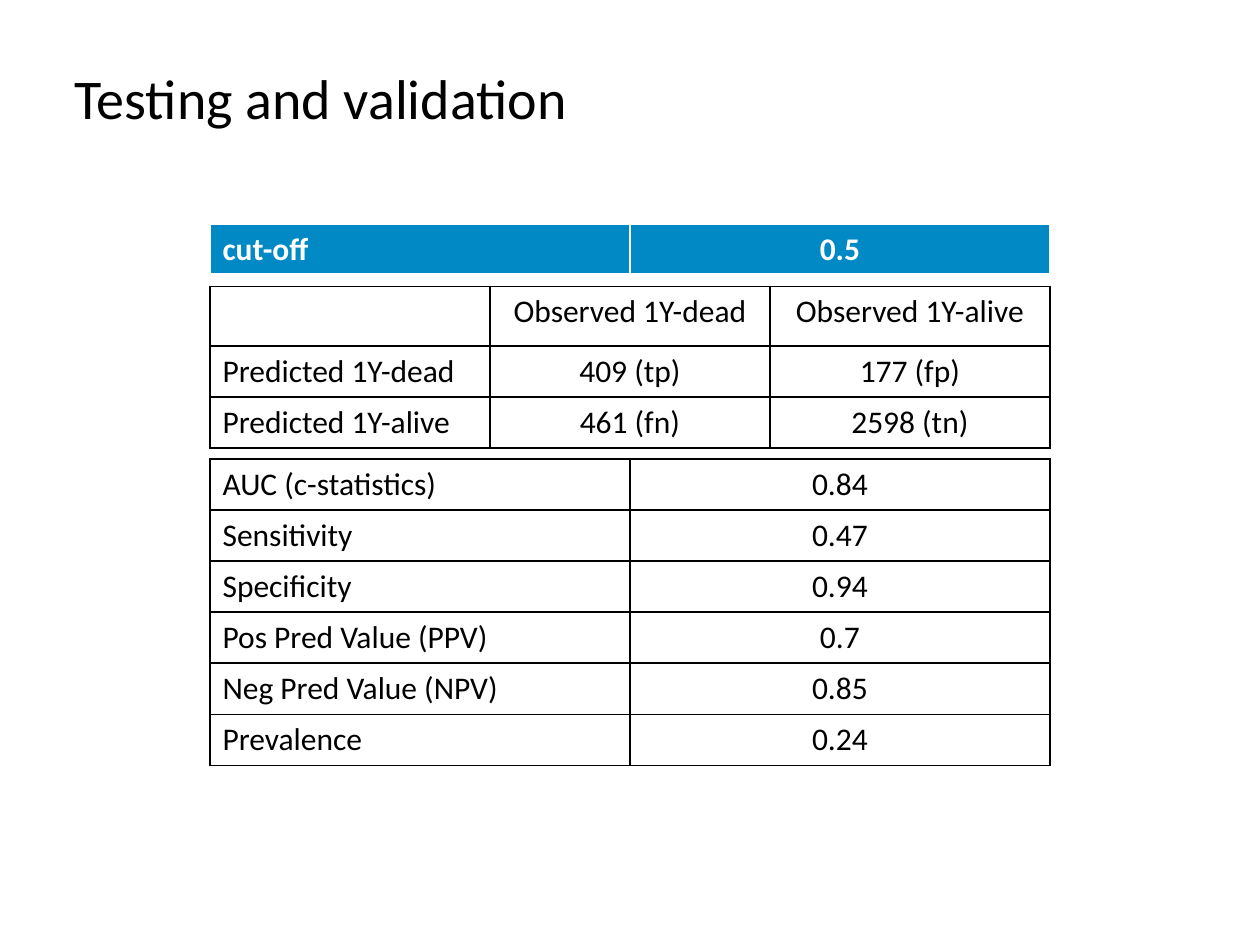
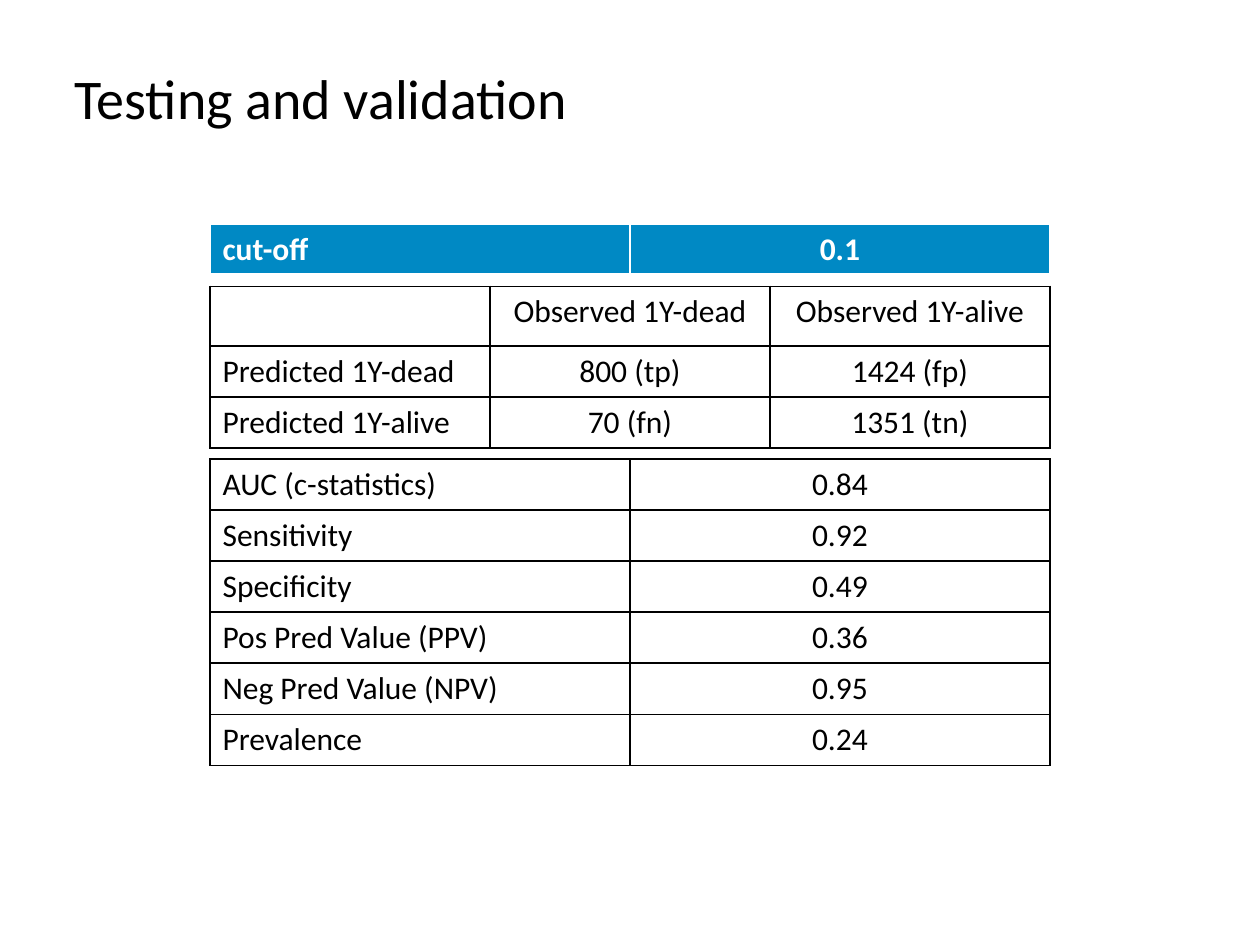
from pptx import Presentation
from pptx.dml.color import RGBColor as Rgb
from pptx.enum.text import MSO_ANCHOR as Anchor, MSO_AUTO_SIZE as Fit, PP_ALIGN as Align
from pptx.oxml.ns import qn
from pptx.util import Pt
from lxml.etree import SubElement

COLORS = {"ink": "000000", "paper": "FFFFFF", "head": "0089C4"}
LEFT, TOP, WIDTH = 120, 128.2, 480
ROW, TALL, GAP = 29.2, 34, 6.2
RATES = ["AUC (c-statistics)", "Sensitivity", "Specificity",
         "Pos Pred Value (PPV)", "Neg Pred Value (NPV)", "Prevalence"]
# cut-off, counts (tp, fp, fn, tn), rates
TESTS = [
    ("0.5", (409, 177, 461, 2598), ["0.84", "0.47", "0.94", "0.7", "0.85", "0.24"]),
    ("0.1", (800, 1424, 70, 1351), ["0.84", "0.92", "0.49", "0.36", "0.95", "0.24"]),
]


class Deck:
    font = "Calibri"

    def __init__(self):
        self.prs = Presentation()
        self.prs.slide_width, self.prs.slide_height = Pt(720), Pt(540)
        self.slide = None

    def add_slide(self, title):
        self.slide = self.prs.slides.add_slide(self.prs.slide_layouts[5])
        box = self.slide.shapes.title
        box.left, box.top, box.width, box.height = Pt(42.5), Pt(36), Pt(635), Pt(79)
        frame = box.text_frame
        frame.text = title
        frame.margin_left = frame.margin_right = 0
        frame.margin_top = frame.margin_bottom = 0
        frame.vertical_anchor = Anchor.TOP
        frame.auto_size = Fit.NONE
        self.style(frame.paragraphs[0], 32, "ink", Align.LEFT)

    def style(self, para, size, color, align, bold=False):
        para.alignment = align
        for run in para.runs:
            font = run.font
            font.name, font.size, font.bold = self.font, Pt(size), bold
            font.color.rgb = Rgb.from_string(COLORS[color])

    def border(self, cell, color, base):
        """Line all four sides; base is the width of the bottom one."""
        props = cell._tc.get_or_add_tcPr()
        for side, width in (("L", 1), ("R", 1), ("T", 1), ("B", base)):
            line = SubElement(props, qn(f"a:ln{side}"), w=str(Pt(width)))
            fill = SubElement(line, qn("a:solidFill"))
            SubElement(fill, qn("a:srgbClr"), val=COLORS[color])

    def table(self, top, rows, heights, head=False):
        """Draw equal columns and return the bottom edge."""
        count = len(rows[0])
        table = self.slide.shapes.add_table(
            len(rows), count, Pt(LEFT), Pt(top), Pt(WIDTH), Pt(sum(heights))).table
        table.first_row = head
        table.horz_banding = False
        for col in table.columns:
            col.width = Pt(WIDTH / count)
        for row, height, texts in zip(table.rows, heights, rows):
            row.height = Pt(height)
            for i, (cell, text) in enumerate(zip(row.cells, texts)):
                self.border(cell, "paper" if head else "ink", 3 if head else 1)
                if head:
                    cell.fill.solid()
                    cell.fill.fore_color.rgb = Rgb.from_string(COLORS["head"])
                else:
                    cell.fill.background()
                cell.text_frame.text = text
                self.style(cell.text_frame.paragraphs[0], 18, "paper" if head else "ink",
                           Align.CENTER if i else Align.LEFT, head)
        return top + sum(heights)


def main():
    deck = Deck()
    for cut, (tp, fp, fn, tn), rates in TESTS:
        deck.add_slide("Testing and validation")
        end = deck.table(TOP, [["cut-off", cut]], [ROW], head=True)
        matrix = [
            ["", "Observed 1Y-dead", "Observed 1Y-alive"],
            ["Predicted 1Y-dead", f"{tp} (tp)", f"{fp} (fp)"],
            ["Predicted 1Y-alive", f"{fn} (fn)", f"{tn} (tn)"],
        ]
        end = deck.table(end + GAP, matrix, [TALL, ROW, ROW])
        deck.table(end + GAP, list(zip(RATES, rates)), [ROW] * len(RATES))
    deck.prs.save("out.pptx")


if __name__ == "__main__":
    main()
